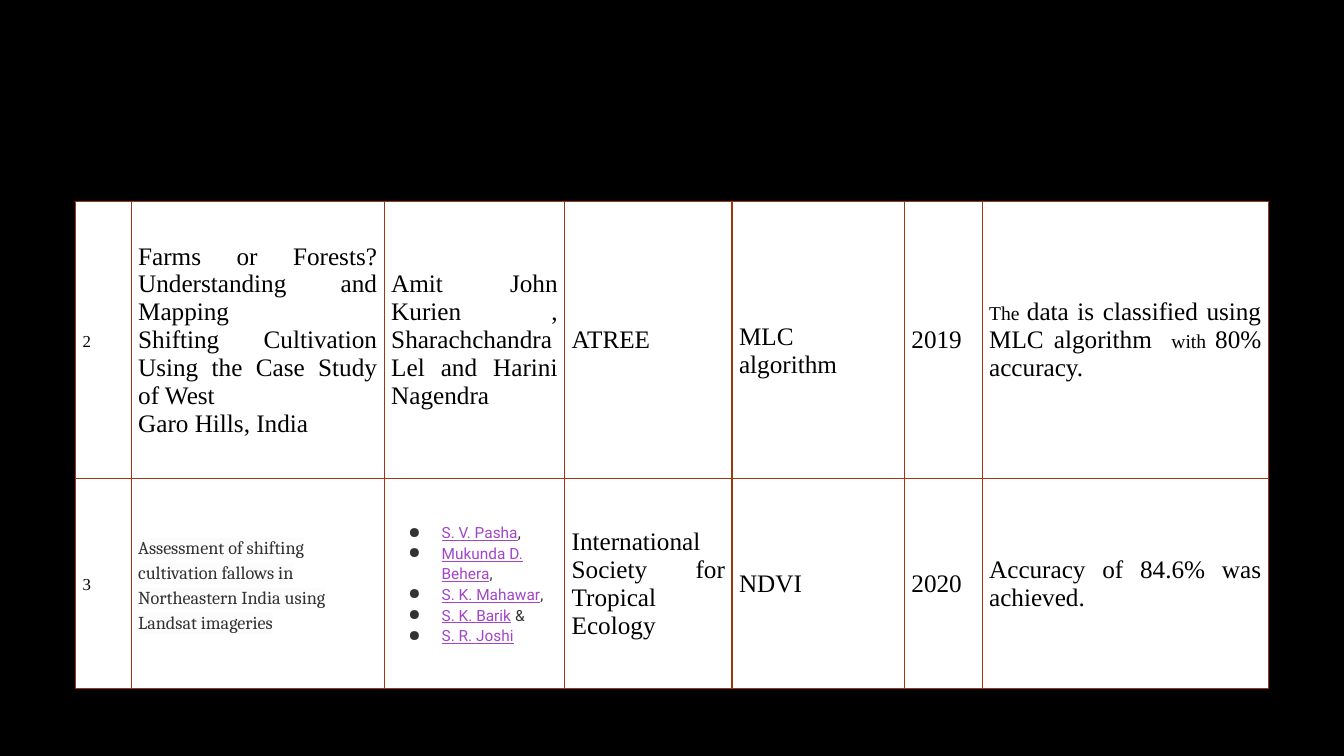
import dataclasses
import typing

import lxml.etree
import pptx
import pptx.dml.color
import pptx.enum.text
import pptx.oxml.ns
import pptx.util

qn = pptx.oxml.ns.qn
Align = pptx.enum.text.PP_ALIGN


@dataclasses.dataclass(frozen=True)
class Theme:
    back: str = "000000"
    paper: str = "FFFFFF"
    ink: str = "000000"
    grey: str = "333333"
    link: str = "A345C9"
    rule: str = "9E3611"
    glow: str = "FCFCFC"
    serif: str = "Times New Roman"
    title: str = "Cambria"
    sans: str = "Roboto"
    body: float = 18
    small: float = 14
    head: float = 13
    index: float = 12
    list: float = 11


THEME = Theme()


@dataclasses.dataclass(frozen=True)
class Look:
    face: str = THEME.serif
    size: float = THEME.body
    color: str = THEME.ink
    align: Align = Align.JUSTIFY
    lead: float = 1.0
    bullet: bool = False
    glow: bool = False


@dataclasses.dataclass(frozen=True)
class Span:
    text: str
    size: typing.Optional[float] = None
    link: bool = False


@dataclasses.dataclass(frozen=True)
class Entry:
    lines: list[list[Span]]
    look: Look = Look()
    drop: float = 0  # top inset, in inches


BODY = Look()
INDEX = Look(size=THEME.index, lead=1.15)
TITLE = Look(THEME.title, THEME.head, THEME.grey, Align.LEFT, 1.2, glow=True)
NAMES = Look(THEME.sans, THEME.list, THEME.grey, Align.LEFT, 1.15, bullet=True)

# Shares of the slide's size, in percent
WIDTH, HEIGHT = pptx.util.Inches(13.33), pptx.util.Inches(7.5)
LEFT, TOP = 5.63, 26.67
COLS = [4.13, 18.83, 13.43, 12.45, 12.83, 5.78, 21.3]
ROWS = [36.67, 27.73]


def plain(*lines: str, look: Look = BODY, drop: float = 0) -> Entry:
    return Entry([[Span(line)] for line in lines], look, drop)


def author(name: str, tail: str) -> list[Span]:
    return [Span(name, link=True)] + ([Span(tail)] if tail else [])


PAPERS = [
    [
        plain("2", look=INDEX),
        plain("Farms or Forests? Understanding and Mapping",
              "Shifting Cultivation Using the Case Study of West",
              "Garo Hills, India"),
        plain("Amit John Kurien , Sharachchandra Lel and Harini Nagendra"),
        plain("ATREE"),
        plain("MLC algorithm", drop=0.22),
        plain("2019"),
        Entry([[Span("The ", THEME.small),
                Span("data is classified using MLC algorithm ", THEME.body),
                Span(" with ", THEME.small),
                Span("80% accuracy.", THEME.body)]]),
    ],
    [
        plain("3", look=INDEX),
        plain("Assessment of shifting cultivation fallows in "
              "Northeastern India using Landsat imageries", look=TITLE),
        Entry([author("S. V. Pasha", ","),
               author("Mukunda D. Behera", ","),
               author("S. K. Mahawar", ","),
               author("S. K. Barik", " &"),
               author("S. R. Joshi", "")], NAMES),
        plain("International Society for Tropical Ecology"),
        plain("NDVI"),
        plain("2020"),
        plain("Accuracy of 84.6% was achieved."),
    ],
]


def across(share: float) -> int:
    return round(WIDTH * share / 100)


def down(share: float) -> int:
    return round(HEIGHT * share / 100)


def rgb(color: str) -> pptx.dml.color.RGBColor:
    return pptx.dml.color.RGBColor.from_string(color)


def tint(parent, tag: str, color: str):
    """Append a DrawingML element that holds one solid colour."""
    node = lxml.etree.SubElement(parent, qn(tag))
    lxml.etree.SubElement(node, qn("a:srgbClr"), val=color)
    return node


def add_bullet(para) -> None:
    props = para._p.get_or_add_pPr()
    props.set("marL", str(pptx.util.Inches(0.5)))
    props.set("indent", str(pptx.util.Inches(-0.33)))
    tint(props, "a:buClr", THEME.grey)
    lxml.etree.SubElement(props, qn("a:buChar"), char="●")


def add_rules(cell) -> None:
    """Line all four sides of a cell; borders must precede its fill."""
    props = cell._tc.get_or_add_tcPr()
    for side in ("a:lnL", "a:lnR", "a:lnT", "a:lnB"):
        line = lxml.etree.SubElement(props, qn(side), w=str(pptx.util.Pt(1)))
        fill = lxml.etree.SubElement(line, qn("a:solidFill"))
        lxml.etree.SubElement(fill, qn("a:srgbClr"), val=THEME.rule)


def write(para, spans: list[Span], look: Look) -> None:
    para.alignment = look.align
    para.line_spacing = look.lead
    if look.bullet:
        add_bullet(para)
    para.font.name = look.face
    mixed = any(span.size for span in spans)
    linked = any(span.link for span in spans)
    if not mixed:
        para.font.size = pptx.util.Pt(look.size)
    if not linked:
        para.font.color.rgb = rgb(look.color)
    for span in spans:
        run = para.add_run()
        run.text = span.text
        if span.size:
            run.font.size = pptx.util.Pt(span.size)
        if linked:
            run.font.color.rgb = rgb(THEME.link if span.link else look.color)
        if span.link:
            run.font.underline = True
        if look.glow:
            tint(run._r.get_or_add_rPr(), "a:highlight", THEME.glow)


def fill_cell(cell, entry: Entry) -> None:
    add_rules(cell)
    cell.fill.solid()
    cell.fill.fore_color.rgb = rgb(THEME.paper)
    cell.vertical_anchor = pptx.enum.text.MSO_ANCHOR.MIDDLE
    cell.margin_left = cell.margin_right = pptx.util.Inches(0.07)
    cell.margin_top = pptx.util.Inches(entry.drop)
    cell.margin_bottom = 0
    frame = cell.text_frame
    for pos, spans in enumerate(entry.lines):
        para = frame.add_paragraph() if pos else frame.paragraphs[0]
        write(para, spans, entry.look)


def add_papers(slide) -> None:
    table = slide.shapes.add_table(
        len(ROWS), len(COLS), across(LEFT), down(TOP),
        across(sum(COLS)), down(sum(ROWS))).table
    table.first_row = table.horz_banding = False
    for col, share in zip(table.columns, COLS):
        col.width = across(share)
    for row, share, paper in zip(table.rows, ROWS, PAPERS):
        row.height = down(share)
        for cell, entry in zip(row.cells, paper):
            fill_cell(cell, entry)


def main() -> None:
    deck = pptx.Presentation()
    deck.slide_width, deck.slide_height = WIDTH, HEIGHT
    slide = deck.slides.add_slide(deck.slide_layouts[6])
    slide.background.fill.solid()
    slide.background.fill.fore_color.rgb = rgb(THEME.back)
    add_papers(slide)
    deck.save("out.pptx")


if __name__ == "__main__":
    main()
